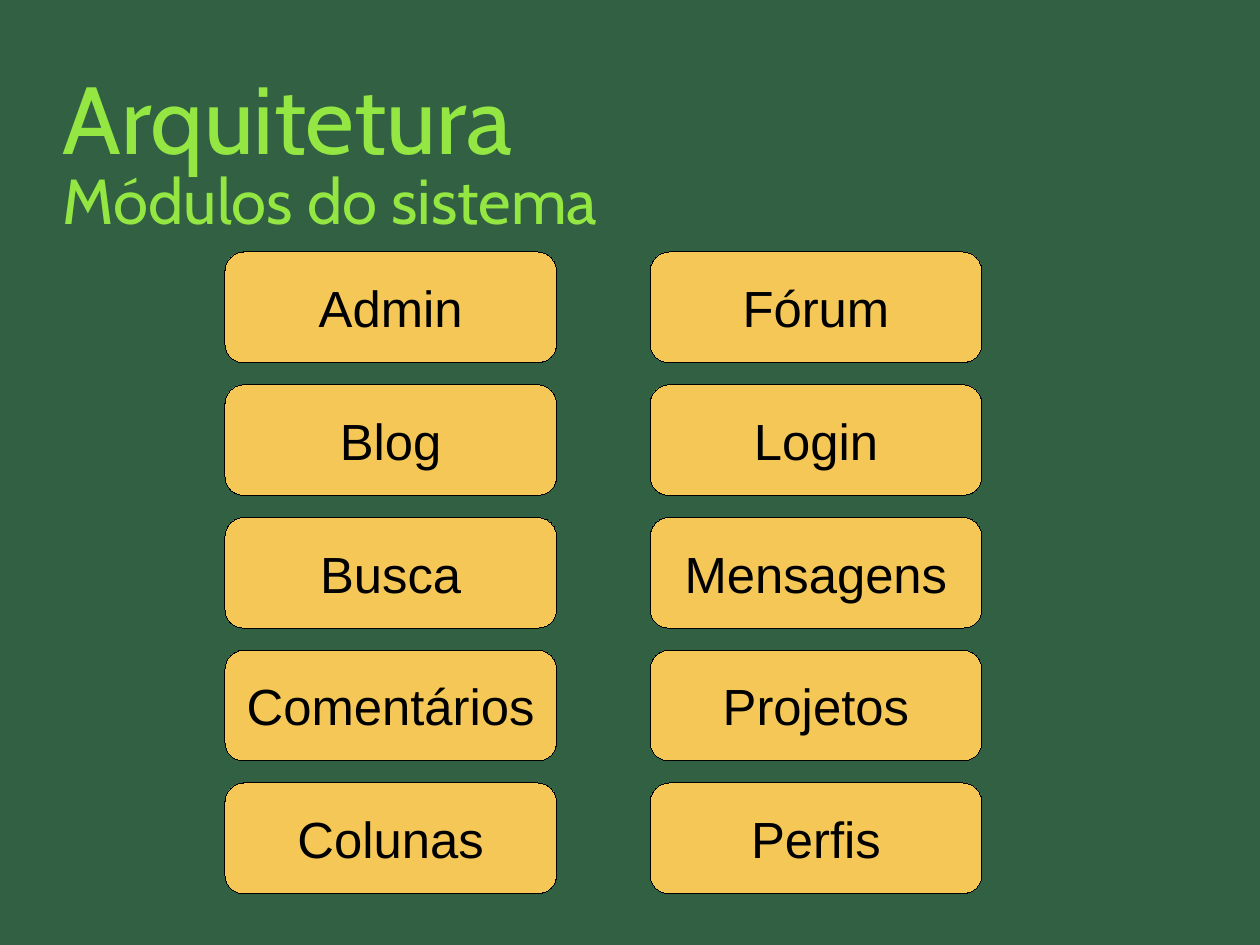
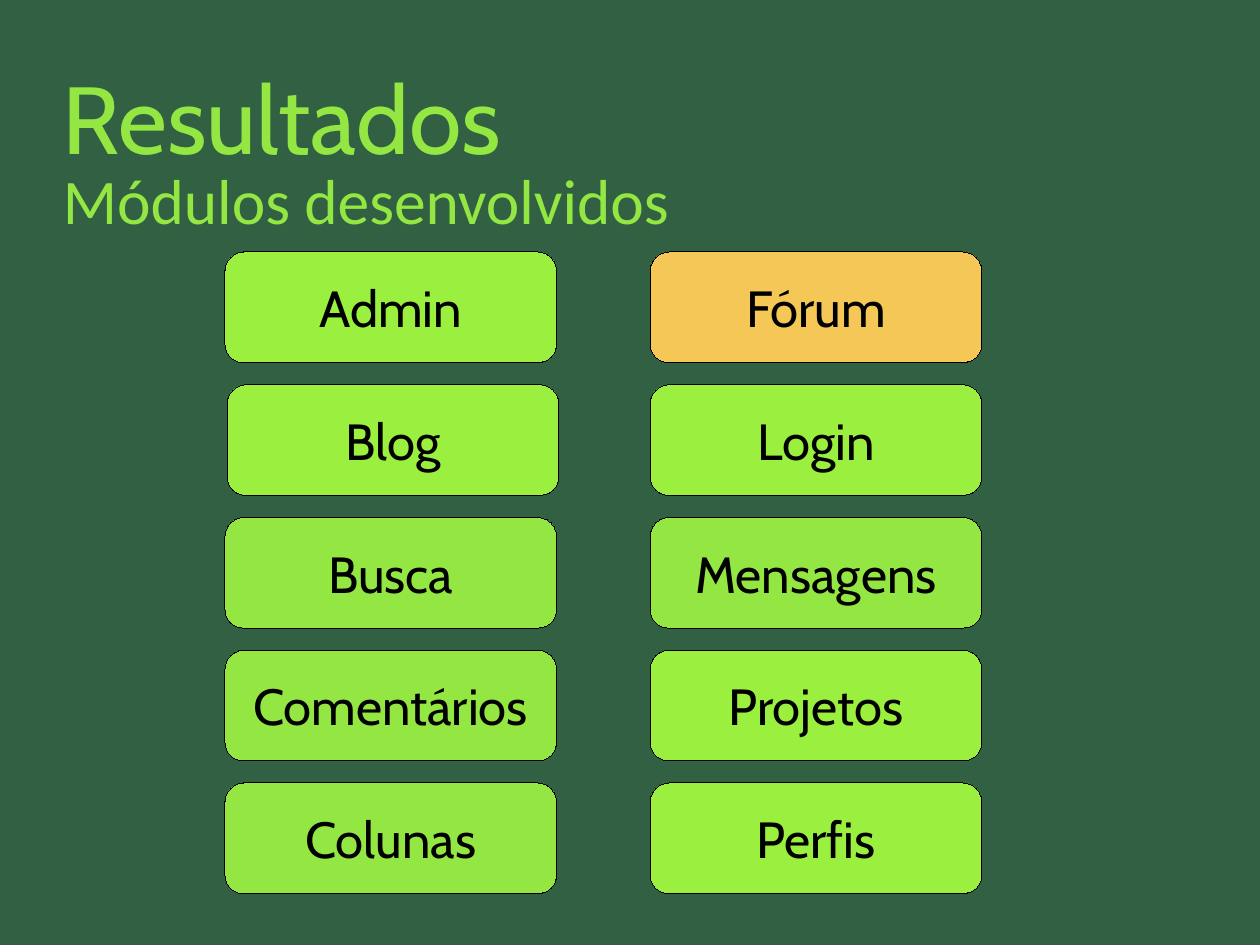
import pptx
import pptx.util
import pptx.dml.color
import pptx.enum.shapes
import pptx.enum.text

GREEN, LIME, BRIGHT, AMBER, BLACK = "316142", "94E742", "9AEF3F", "F4C757", "000000"

# Modules by column, top to bottom
MODULES = [
    ["Admin", "Blog", "Busca", "Comentários", "Colunas"],
    ["Fórum", "Login", "Mensagens", "Projetos", "Perfis"],
]

SLIDES = [
    {
        "title": "Arquitetura", "subtitle": "Módulos do sistema",
        "subtitle_font": "Cabin", "module_font": "Arial",
        "default_fill": AMBER, "fills": {}, "shifts": {},
    },
    {
        "title": "Resultados", "subtitle": "Módulos desenvolvidos",
        "subtitle_font": "Calibri", "module_font": "Cabin",
        "default_fill": BRIGHT,
        "fills": {"Fórum": AMBER, "Busca": LIME, "Comentários": LIME,
                  "Colunas": LIME, "Mensagens": LIME},
        "shifts": {"Blog": 0.05},
    },
]

# Centimetres
SLIDE_W, SLIDE_H = 28, 21
MARGIN = 1.4
TITLE_TOP, TITLE_H = 0.84, 3.51
SUBTITLE_TOP, SUBTITLE_H = 3.1, 2.64
GRID_LEFT, GRID_TOP = 5, 5.6
COL_STEP, ROW_STEP = 9.45, 2.95
BOX_W, BOX_H = 7.37, 2.46
CORNER = 0.17

ALIGN = pptx.enum.text.PP_ALIGN


def color(value):
    return pptx.dml.color.RGBColor.from_string(value)


def cm(*values):
    return [pptx.util.Cm(v) for v in values]


def write(sp, text, font, size, ink, align, insets):
    """Put one vertically centred line of text into a shape."""
    tf = sp.text_frame
    side, top = cm(*insets)
    frame_format = {
        "word_wrap": True,
        "vertical_anchor": pptx.enum.text.MSO_ANCHOR.MIDDLE,
        "margin_left": side, "margin_right": side,
        "margin_top": top, "margin_bottom": top,
    }
    for name, value in frame_format.items():
        setattr(tf, name, value)
    p = tf.paragraphs[0]
    p.alignment = align
    r = p.add_run()
    r.text = text
    for name, value in {"name": font, "size": pptx.util.Pt(size)}.items():
        setattr(r.font, name, value)
    r.font.color.rgb = color(ink)


def add_heading(slide, text, top, height, font, size):
    sp = slide.shapes.add_textbox(
        *cm(MARGIN, top, SLIDE_W - 2 * MARGIN, height))
    write(sp, text, font, size, LIME, ALIGN.LEFT, (0, 0))


def add_module(slide, text, left, top, fill, font):
    sp = slide.shapes.add_shape(
        pptx.enum.shapes.MSO_SHAPE.ROUNDED_RECTANGLE,
        *cm(left, top, BOX_W, BOX_H))
    sp.adjustments[0] = CORNER
    sp.shadow.inherit = False
    sp.fill.solid()
    sp.fill.fore_color.rgb = color(fill)
    sp.line.color.rgb = color(BLACK)
    # A hairline needs an explicit zero width, or the theme's width applies
    sp.element.spPr.get_or_add_ln().set("w", "0")
    write(sp, text, font, 32, BLACK, ALIGN.CENTER, (0.25, 0.13))


def add_modules_slide(prs, content):
    slide = prs.slides.add_slide(prs.slide_layouts[6])
    add_heading(slide, content["title"], TITLE_TOP, TITLE_H, "Cabin", 60)
    for col, names in enumerate(MODULES):
        for row, name in enumerate(names):
            left = GRID_LEFT + col * COL_STEP + content["shifts"].get(name, 0)
            fill = content["fills"].get(name, content["default_fill"])
            add_module(slide, name, left, GRID_TOP + row * ROW_STEP,
                       fill, content["module_font"])
    add_heading(slide, content["subtitle"], SUBTITLE_TOP, SUBTITLE_H,
                content["subtitle_font"], 40)


def main():
    prs = pptx.Presentation()
    prs.slide_width, prs.slide_height = cm(SLIDE_W, SLIDE_H)
    background = prs.slide_master.background.fill
    background.solid()
    background.fore_color.rgb = color(GREEN)
    for content in SLIDES:
        add_modules_slide(prs, content)
    prs.save("out.pptx")


if __name__ == "__main__":
    main()
